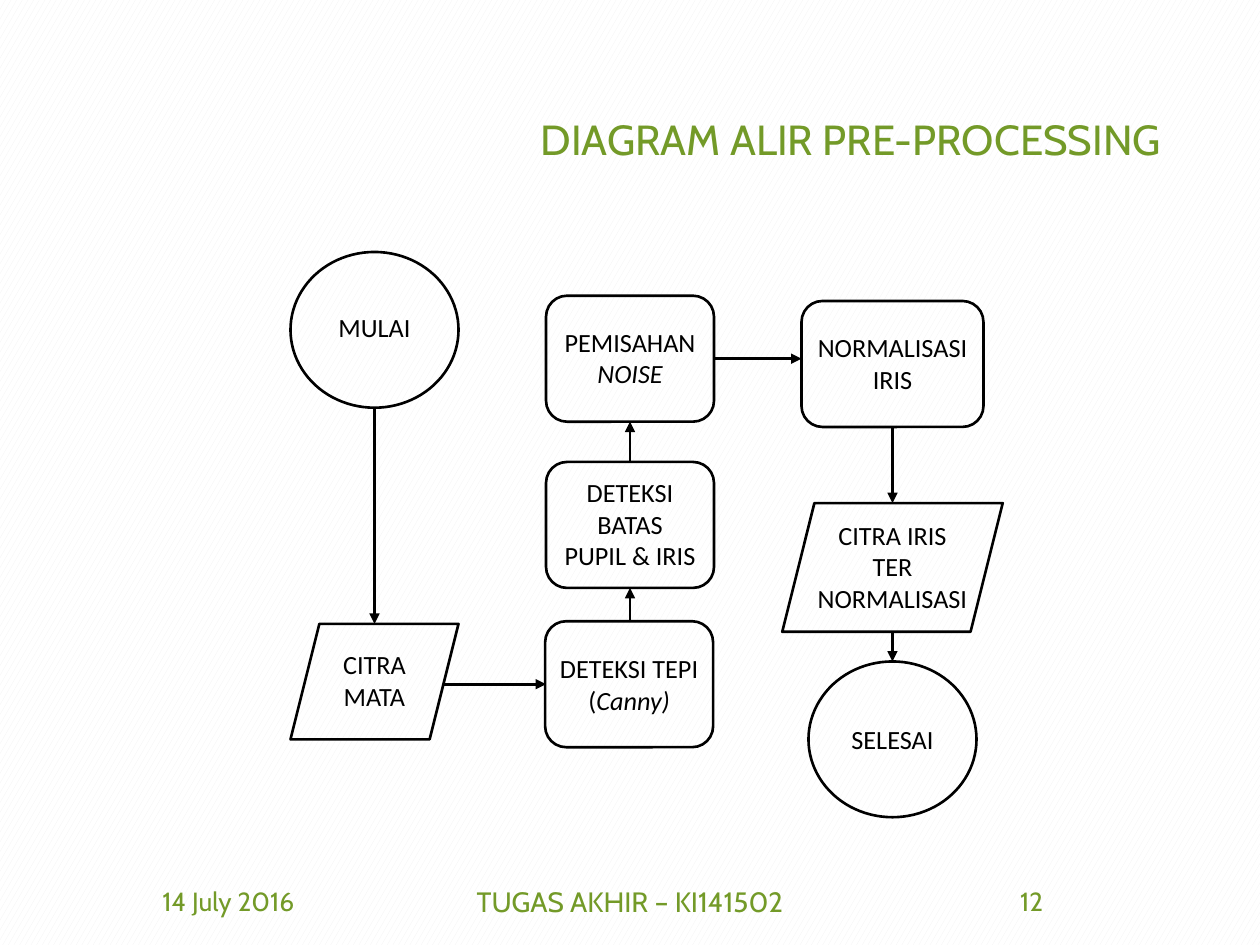
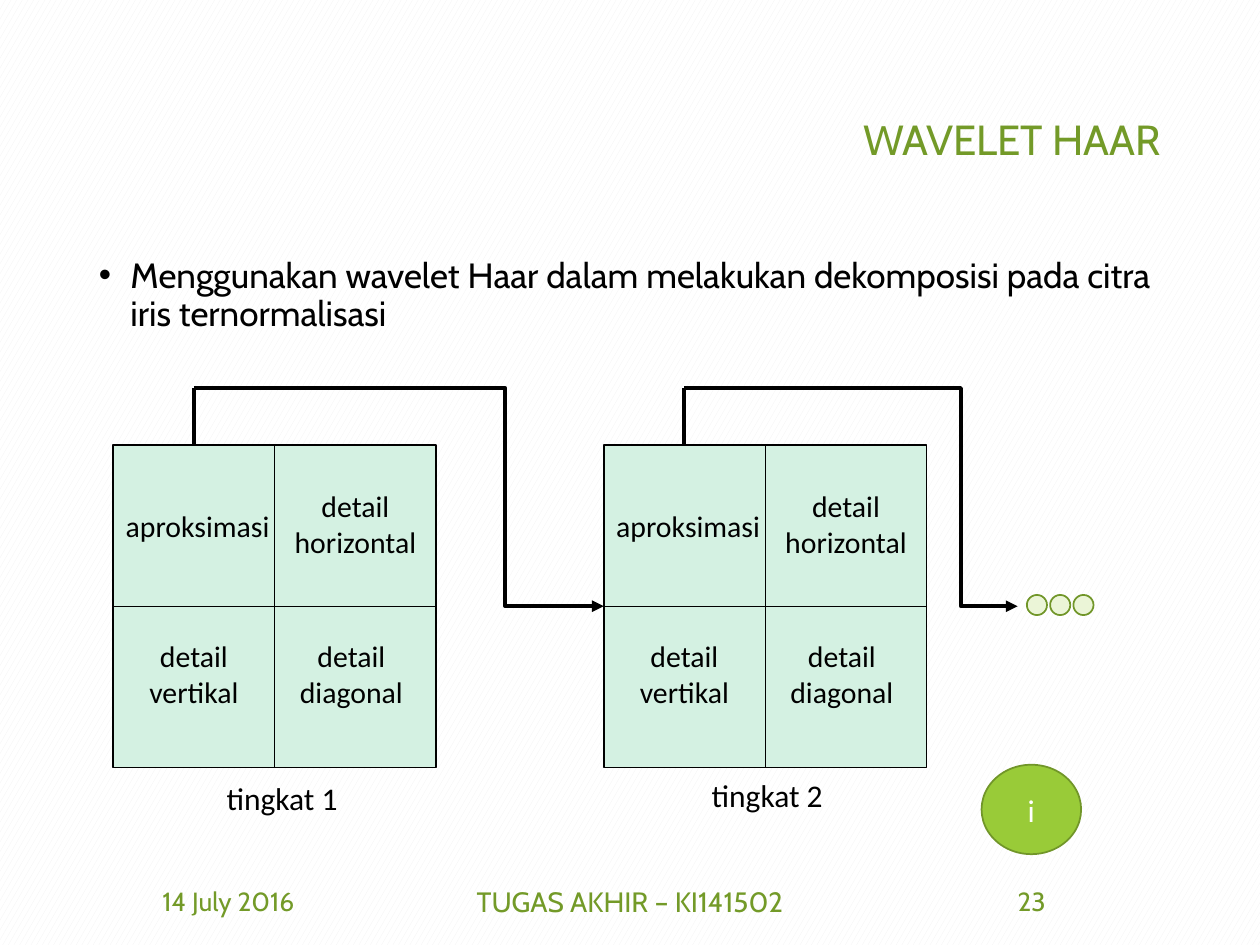
from dataclasses import dataclass

from lxml.etree import SubElement
from pptx import Presentation
from pptx.dml.color import RGBColor
from pptx.enum.dml import MSO_PATTERN
from pptx.enum.shapes import MSO_CONNECTOR, MSO_SHAPE
from pptx.enum.text import MSO_ANCHOR, PP_ALIGN
from pptx.oxml.ns import qn
from pptx.util import Pt


@dataclass(frozen=True)
class Theme:
    heading_font: str = "Cabin"
    diagram_font: str = "Calibri"
    black: str = "000000"
    white: str = "FFFFFF"
    pattern: str = "F2F2F2"
    title_green: str = "739A28"
    outline_green: str = "719629"
    bright_green: str = "99CB38"
    pale_green: str = "EBF5D7"
    mint: str = "D4F1E2"
    title_size: float = 24
    body_size: float = 20
    caption_size: float = 18
    band_size: float = 17
    footer_size: float = 16
    small_size: float = 15


theme = Theme()


def add_box(page, frame, text="", kind=None, fill=None, line=None, line_width=1.5,
            size=theme.small_size, font=theme.diagram_font, color=theme.black,
            align=PP_ALIGN.CENTER, anchor=MSO_ANCHOR.TOP, italic="", wrap=True):
    """Add a text box, or a preset shape when kind is given."""
    lengths = [Pt(value) for value in frame]
    if kind is None:
        box = page.shapes.add_textbox(*lengths)
    else:
        box = page.shapes.add_shape(kind, *lengths)
        box.shadow.inherit = False
        box.line.color.rgb = RGBColor.from_string(line)
        box.line.width = Pt(line_width)
        if fill:
            box.fill.solid()
            box.fill.fore_color.rgb = RGBColor.from_string(fill)
        else:
            box.fill.background()
    text_frame = box.text_frame
    text_frame.word_wrap = wrap
    text_frame.vertical_anchor = anchor
    text_frame.text = text
    if italic:
        span = text_frame.paragraphs[-1].add_run()
        span.text = italic
        span.font.italic = True
    for para in text_frame.paragraphs:
        para.alignment = align
        for span in para.runs:
            span.font.name = font
            span.font.size = Pt(size)
            span.font.color.rgb = RGBColor.from_string(color)
    return box


def add_line(page, start, end, width=1.5, arrow=True, bend=None):
    """Add a straight line, or an elbow whose turn lies at the share bend."""
    kind = MSO_CONNECTOR.STRAIGHT if bend is None else MSO_CONNECTOR.ELBOW
    line = page.shapes.add_connector(kind, *[Pt(value) for value in (*start, *end)])
    line.line.color.rgb = RGBColor.from_string(theme.black)
    line.line.width = Pt(width)
    properties = line._element.spPr
    if arrow:
        SubElement(properties.find(qn("a:ln")), qn("a:tailEnd"), type="triangle")
    SubElement(properties, qn("a:effectLst"))
    if bend is not None:
        guides = properties.find(qn("a:prstGeom")).get_or_add_avLst()
        SubElement(guides, qn("a:gd"), name="adj1", fmla=f"val {round(bend * 100000)}")


deck = Presentation()
deck.slide_width, deck.slide_height = Pt(720), Pt(540)

# Background, title and footer of every slide
pages = []
for title, number in (("DIAGRAM ALIR PRE-PROCESSING", "12"), ("WAVELET HAAR", "23")):
    page = deck.slides.add_slide(deck.slide_layouts[6])
    pages.append(page)
    background = page.background.fill
    background.patterned()
    background.pattern = MSO_PATTERN.LARGE_CONFETTI
    background.fore_color.rgb = RGBColor.from_string(theme.pattern)
    background.back_color.rgb = RGBColor.from_string(theme.white)
    heading = add_box(page, (49.5, 28.8, 621, 104.4), title, size=theme.title_size,
                      font=theme.heading_font, color=theme.title_green,
                      align=PP_ALIGN.RIGHT, anchor=MSO_ANCHOR.MIDDLE)
    heading.text_frame.paragraphs[0].line_spacing = 0.9
    for left, width, text, size in (
        (49.5, 162, "14 July 2016", theme.small_size),
        (238.5, 243, "TUGAS AKHIR – KI141502", theme.footer_size),
        (508.5, 162, number, theme.small_size),
    ):
        add_box(page, (left, 500.5, width, 28.8), text, size=size, font=theme.heading_font,
                color=theme.title_green, anchor=MSO_ANCHOR.MIDDLE)
flow_page, wavelet_page = pages

# Flow chart: outline, label place, label and its italic ending
oval, slanted, rounded = MSO_SHAPE.OVAL, MSO_SHAPE.PARALLELOGRAM, MSO_SHAPE.ROUNDED_RECTANGLE
steps = (
    (oval, (166, 144, 96, 89), (178, 174.3, 72, 25), "MULAI", ""),
    (slanted, (166, 356.5, 96, 66), (178, 367.2, 72, 44), "CITRA MATA", ""),
    (rounded, (312, 264, 96, 72), (312, 268.6, 96, 62), "DETEKSI BATAS\nPUPIL & IRIS", ""),
    (rounded, (312, 169, 96, 72), (312, 182.9, 96, 44), "PEMISAHAN ", "NOISE"),
    (rounded, (458, 172, 104, 72), (459.3, 185.8, 101.5, 44), "NORMALISASI IRIS", ""),
    (slanted, (447, 287.5, 126, 73.5), (457, 293, 106, 62),
     "CITRA IRIS\nTER\nNORMALISASI", ""),
    (oval, (462, 378, 96, 89), (474, 409.7, 72, 25), "SELESAI", ""),
)
for kind, frame, label_frame, label, ending in steps:
    add_box(flow_page, frame, kind=kind, line=theme.black)
    add_box(flow_page, label_frame, label, italic=ending)
add_box(flow_page, (311.5, 355, 96, 72), "DETEKSI TEPI\n(", kind=rounded, line=theme.black,
        anchor=MSO_ANCHOR.MIDDLE, italic="Canny)", wrap=False)

# Flow chart arrows
for start, end in (
    ((214, 233), (214, 356.5)),
    ((253, 391), (312, 391)),
    ((360, 355), (360, 336)),
    ((360, 264), (360, 241)),
    ((408, 205), (458, 205)),
    ((510, 244), (510, 287.5)),
    ((510, 361), (510, 378)),
):
    add_line(flow_page, start, end)

# Bulleted statement
statement = add_box(
    wavelet_page, (49.5, 144, 621, 342.7),
    "Menggunakan wavelet Haar dalam melakukan dekomposisi pada citra iris ternormalisasi",
    size=theme.body_size, font=theme.heading_font, align=PP_ALIGN.LEFT)
para = statement.text_frame.paragraphs[0]
para.line_spacing = 0.9
indent = para._p.get_or_add_pPr()
indent.set("marL", str(Pt(18)))
indent.set("indent", str(Pt(-18)))
SubElement(indent, qn("a:buFont"), typeface="Arial")
SubElement(indent, qn("a:buChar"), char="•")

# Decomposition levels: square, bands, caption and the path to the next level
side, top, path_top = 184.4, 254.2, 221.8
middle = top + side / 2
bands = (
    (0, 32.4, "aproksimasi", PP_ALIGN.LEFT),
    (87.3, 21.2, "detail\nhorizontal", PP_ALIGN.CENTER),
    (-5, 106.6, "detail\nvertikal", PP_ALIGN.CENTER),
    (85, 106.6, "detail\ndiagonal", PP_ALIGN.CENTER),
)
levels = (
    (64.7, "tingkat 1", (122.4, 441.4), 345, 0.76),
    (345, "tingkat 2", (399.6, 440), 581.5, 0.83),
)
for left, caption, (caption_left, caption_top), path_end, bend in levels:
    add_box(wavelet_page, (left, top, side, side), kind=MSO_SHAPE.RECTANGLE,
            fill=theme.mint, line=theme.black, line_width=1)
    center = left + side / 2
    add_line(wavelet_page, (center, top), (center, top + side), 0.5, arrow=False)
    add_line(wavelet_page, (left, middle), (left + side, middle), 0.5, arrow=False)
    for across, down, band, align in bands:
        height = 48.2 if "\n" in band else 28.1
        add_box(wavelet_page, (left + across, top + down, 102.2, height), band,
                size=theme.band_size, align=align)
    add_box(wavelet_page, (caption_left, caption_top, 80, 28.8), caption,
            size=theme.caption_size, align=PP_ALIGN.LEFT)
    path_start = left + side / 4
    add_line(wavelet_page, (path_start, top), (path_start, path_top), 2.25, arrow=False)
    add_line(wavelet_page, (path_start, path_top), (path_end, middle), 2.25, bend=bend)

# Dots for further levels and the round badge
for index in range(3):
    add_box(wavelet_page, (586.8 + 13.3 * index, 340, 11.5, 11.5), kind=oval,
            fill=theme.pale_green, line=theme.outline_green, line_width=1)
add_box(wavelet_page, (560.9, 437, 56.9, 51.1), "i", kind=oval, fill=theme.bright_green,
        line=theme.outline_green, line_width=1, size=theme.caption_size, color=theme.white,
        anchor=MSO_ANCHOR.MIDDLE)

deck.save("out.pptx")
